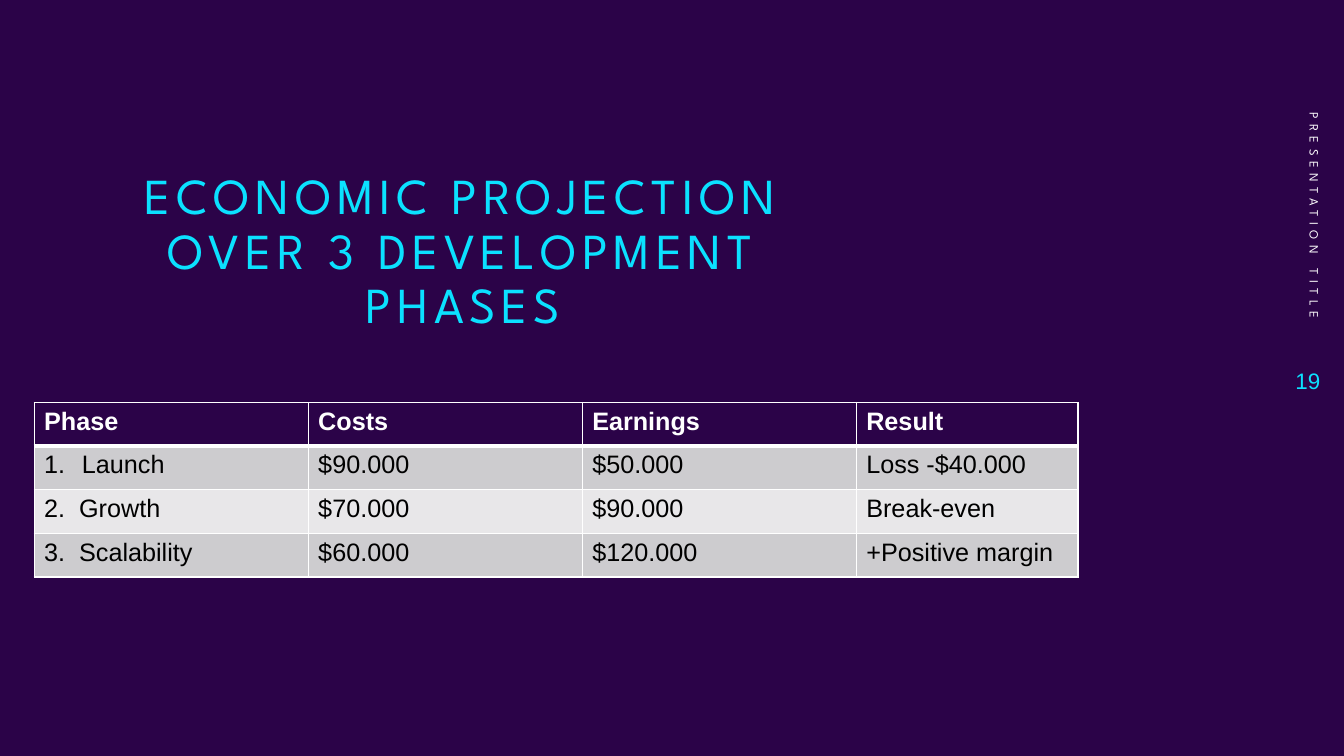
from lxml.etree import SubElement
from pptx import Presentation
from pptx.dml.color import RGBColor
from pptx.enum.text import MSO_ANCHOR as Anchor, MSO_AUTO_SIZE as AutoSize, PP_ALIGN as Align
from pptx.oxml import parse_xml
from pptx.oxml.ns import nsdecls, qn
from pptx.util import Cm, Pt

COLORS = {
    "background": "2B0348",
    "accent": "0BE1FF",
    "white": "FFFFFF",
    "black": "000000",
    "dark_band": "CDCCCF",
    "light_band": "E8E7E9",
}
HEADING_FONT = "League Spartan"
BODY_FONT = "Arial"
HEADERS = ["Phase", "Costs", "Earnings", "Result"]
PHASES = [
    ["Launch", "$90.000", "$50.000", "Loss -$40.000"],
    ["Growth", "$70.000", "$90.000", "Break-even"],
    ["Scalability", "$60.000", "$120.000", "+Positive margin"],
]
COLUMN_SHARES = [0.2625, 0.2625, 0.2625, 0.2125]


def color(name):
    return RGBColor.from_string(COLORS[name])


def format_text(paragraph, size, color_name, font_name, bold=False, spacing=0):
    for run in paragraph.runs:
        run.font.size = Pt(size)
        run.font.name = font_name
        run.font.bold = bold
        run.font.color.rgb = color(color_name)
        if spacing:
            run.font._element.set("spc", str(spacing * 100))


def number_paragraph(paragraph, number, indent):
    properties = paragraph._p.get_or_add_pPr()
    properties.set("marL", str(indent))
    properties.set("indent", str(-indent))
    SubElement(properties, qn("a:buFont"), typeface=BODY_FONT)
    SubElement(properties, qn("a:buAutoNum"), type="arabicPeriod", startAt=str(number))


def set_borders(cell, top, bottom):
    properties = cell._tc.get_or_add_tcPr()
    widths = {"lnL": 1, "lnR": 1, "lnT": top, "lnB": bottom}
    for position, (side, width) in enumerate(widths.items()):
        properties.insert(position, parse_xml(
            f'<a:{side} {nsdecls("a")} w="{Pt(width)}"><a:solidFill>'
            f'<a:srgbClr val="{COLORS["white"]}"/></a:solidFill></a:{side}>'))


def add_title(slide, left, top, width, height):
    title = slide.shapes.title
    title.left, title.top, title.width, title.height = left, top, width, height
    frame = title.text_frame
    frame.text = "ECONOMIC PROJECTION OVER 3 DEVELOPMENT PHASES"
    frame.word_wrap = True
    frame.auto_size = AutoSize.NONE
    frame.vertical_anchor = Anchor.BOTTOM
    frame.margin_bottom = Cm(1.96)
    paragraph = frame.paragraphs[0]
    paragraph.alignment = Align.CENTER
    paragraph.line_spacing = 0.9
    format_text(paragraph, 36, "accent", HEADING_FONT, spacing=4)


def add_side_label(slide, text, left, top, width, height):
    label = slide.shapes.add_textbox(left, top, width, height)
    frame = label.text_frame
    frame.text = text
    frame.word_wrap = True
    frame.vertical_anchor = Anchor.MIDDLE
    frame.paragraphs[0].alignment = Align.RIGHT
    return label


def add_side_strip(slide, left, top, width, height):
    label_length, label_depth = Cm(7.7), Cm(1.02)
    label = add_side_label(
        slide, "PRESENTATION TITLE",
        left + Cm(1.13) - label_length // 2, top + (label_length - label_depth) // 2,
        label_length, label_depth)
    label.rotation = 90
    format_text(label.text_frame.paragraphs[0], 9, "white", HEADING_FONT, spacing=4)
    number_height = Cm(1.6)
    number = add_side_label(
        slide, "19", left, top + height - number_height, width, number_height)
    format_text(number.text_frame.paragraphs[0], 16, "accent", BODY_FONT)


def add_projection_table(slide, left, top, width, height):
    rows = [HEADERS] + PHASES
    table = slide.shapes.add_table(
        len(rows), len(HEADERS), left, top, width, height).table
    for column, share in zip(table.columns, COLUMN_SHARES):
        column.width = int(width * share)
    for row_index, values in enumerate(rows):
        is_header = row_index == 0
        band = "background" if is_header else "dark_band" if row_index % 2 else "light_band"
        table.rows[row_index].height = height // len(rows)
        for column_index, value in enumerate(values):
            cell = table.cell(row_index, column_index)
            cell.text = value
            cell.fill.solid()
            cell.fill.fore_color.rgb = color(band)
            set_borders(cell, 3 if row_index == 1 else 1, 3 if is_header else 1)
            paragraph = cell.text_frame.paragraphs[0]
            if column_index == 0 and not is_header:
                number_paragraph(paragraph, row_index, Cm(0.95 if row_index == 1 else 0.88))
            format_text(paragraph, 18, "white" if is_header else "black", BODY_FONT, is_header)


def main():
    presentation = Presentation()
    presentation.slide_width = Cm(33.87)
    presentation.slide_height = Cm(19.05)
    slide = presentation.slides.add_slide(presentation.slide_layouts[5])
    slide.background.fill.solid()
    slide.background.fill.fore_color.rgb = color("background")
    add_title(slide, Cm(2.26), Cm(1.14), Cm(18.82), Cm(9.25))
    add_side_strip(slide, Cm(32), Cm(0.57), Cm(1.52), Cm(9.82))
    add_projection_table(slide, Cm(0.86), Cm(10.14), Cm(26.31), Cm(4.4))
    presentation.save("out.pptx")


if __name__ == "__main__":
    main()
